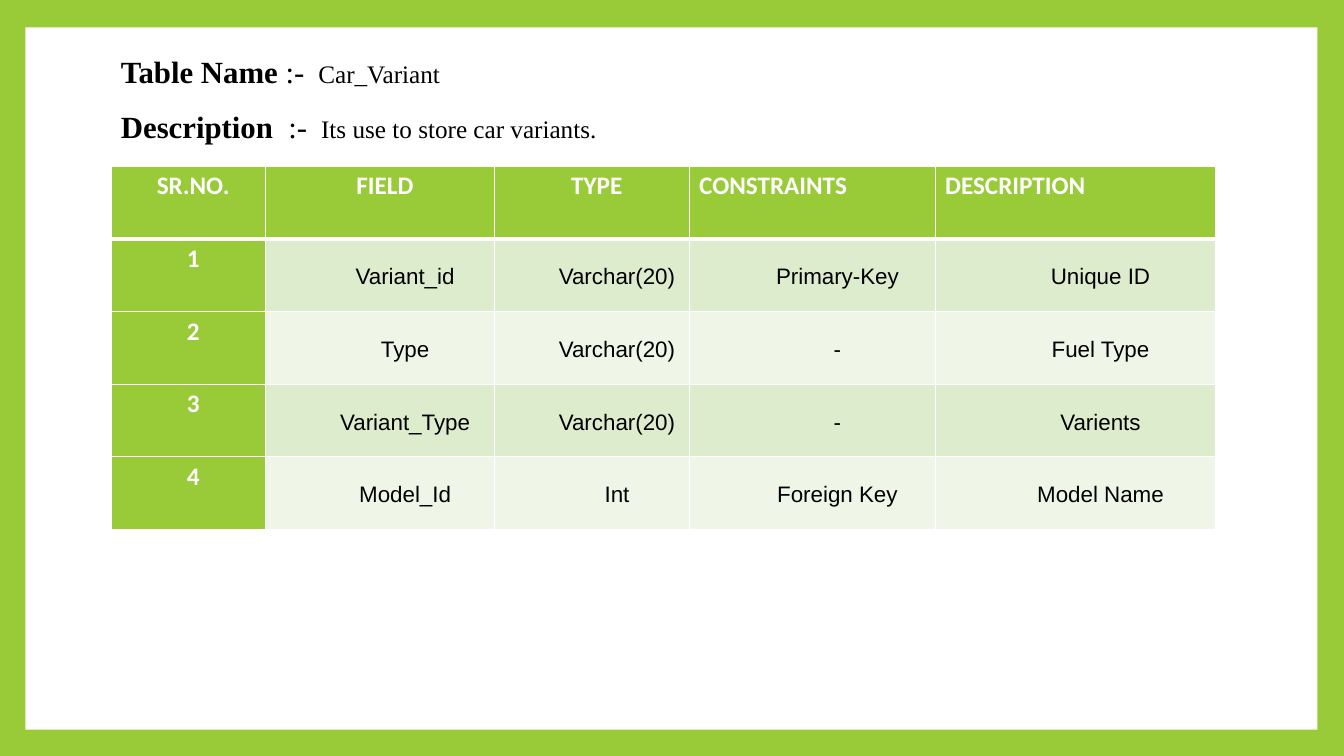
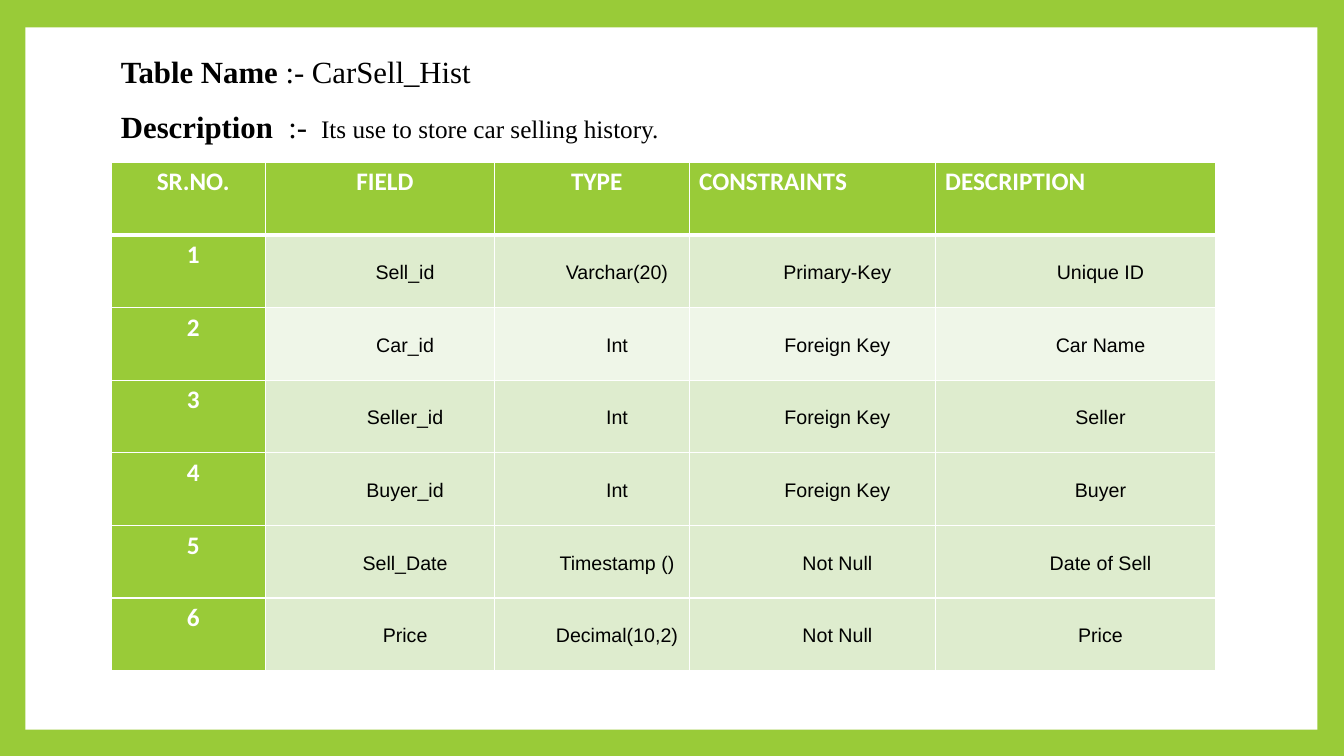
"""Build two slides that describe the tables of a car database."""
from lxml.etree import SubElement
from pptx import Presentation
from pptx.dml.color import RGBColor
from pptx.enum.shapes import MSO_SHAPE
from pptx.enum.text import MSO_ANCHOR, PP_ALIGN
from pptx.oxml.ns import qn
from pptx.util import Cm, Pt

GREEN, WHITE, BLACK = "99CB38", "FFFFFF", "000000"
BAND, PALE_BAND = "DEECCE", "EFF6E8"
LEFT = Cm(2.8)
COLUMN_WIDTHS = [3.89, 5.77, 4.91, 6.2, 7.06]
ROW_HEIGHT = Cm(1.83)
HEADER = ["SR.NO.", "FIELD", "TYPE", "CONSTRAINTS", "DESCRIPTION"]

TABLES = [
    {
        "name": " Car_Variant", "name_size": 18,
        "description": " Its use to store car variants.",
        "top": 4.19, "text_size": 16, "pale_rows": [2, 4],
        "rows": [
            ["1", "Variant_id", "Varchar(20)", "Primary-Key", "Unique ID"],
            ["2", "Type", "Varchar(20)", "-", "Fuel Type"],
            ["3", "Variant_Type", "Varchar(20)", "-", "Varients"],
            ["4", "Model_Id", "Int", "Foreign Key", "Model Name"],
        ],
    },
    {
        "name": "CarSell_Hist", "name_size": 22,
        "description": " Its use to store car selling history.",
        "top": 4.09, "text_size": 14, "pale_rows": [2],
        "rows": [
            ["1", "Sell_id", "Varchar(20)", "Primary-Key", "Unique ID"],
            ["2", "Car_id", "Int", "Foreign Key", "Car Name"],
            ["3", "Seller_id", "Int", "Foreign Key", "Seller"],
            ["4", "Buyer_id", "Int", "Foreign Key", "Buyer"],
            ["5", "Sell_Date", "Timestamp ()", "Not Null", "Date of Sell"],
            ["6", "Price", "Decimal(10,2)", "Not Null", "Price"],
        ],
    },
]


def paint(fill, color):
    fill.solid()
    fill.fore_color.rgb = RGBColor.from_string(color)


def add_borders(cell, top, bottom):
    properties = cell._tc.get_or_add_tcPr()
    for side, width in [("L", 1), ("R", 1), ("T", top), ("B", bottom)]:
        line = SubElement(properties, qn(f"a:ln{side}"), w=str(Pt(width)))
        SubElement(SubElement(line, qn("a:solidFill")), qn("a:srgbClr"), val=WHITE)


presentation = Presentation()
presentation.slide_width, presentation.slide_height = Cm(33.87), Cm(19.05)
master = presentation.slide_master
paint(master.background.fill, GREEN)
slides = [presentation.slides.add_slide(presentation.slide_layouts[6]) for _ in TABLES]

panel = slides[0].shapes.add_shape(
    MSO_SHAPE.RECTANGLE, Cm(0.64), Cm(0.69), Cm(32.56), Cm(17.7))
panel.shadow.inherit = False
paint(panel.fill, WHITE)
panel.line.fill.background()
panel.element.nvSpPr.cNvPr.set("id", "100")
master.shapes.element.insert(2, panel.element)

for slide, content in zip(slides, TABLES):
    heading = slide.shapes.add_textbox(LEFT, Cm(0.74), Cm(25.07), Cm(2.72))
    frame = heading.text_frame
    frame.word_wrap = True
    lines = [
        ("Table Name", " :- ", content["name"], content["name_size"]),
        ("Description", "  :- ", content["description"], 18),
    ]
    for index, (label, separator, value, value_size) in enumerate(lines):
        paragraph = frame.add_paragraph() if index else frame.paragraphs[0]
        paragraph.line_spacing = 1.5
        paragraph.font.name = "Times New Roman"
        paint(paragraph.font.fill, BLACK)
        for text, size, bold in [(label, 22, True), (separator, 22, False),
                                 (value, value_size, False)]:
            run = paragraph.add_run()
            run.text = text
            run.font.size = Pt(size)
            run.font.bold = bold

    rows = [HEADER] + content["rows"]
    table = slide.shapes.add_table(
        len(rows), len(HEADER), LEFT, Cm(content["top"]),
        Cm(sum(COLUMN_WIDTHS)), ROW_HEIGHT * len(rows)).table
    table.horz_banding = False
    for column, width in zip(table.columns, COLUMN_WIDTHS):
        column.width = Cm(width)
    for row_index, row in enumerate(rows):
        table.rows[row_index].height = ROW_HEIGHT
        band = PALE_BAND if row_index in content["pale_rows"] else BAND
        for column_index, text in enumerate(row):
            is_label = row_index == 0 or column_index == 0
            cell = table.cell(row_index, column_index)
            add_borders(cell, 3 if row_index == 1 else 1, 3 if row_index == 0 else 1)
            paint(cell.fill, GREEN if is_label else band)
            cell.margin_left = cell.margin_right = Cm(0 if is_label else 0.18)
            cell.margin_top = cell.margin_bottom = 0
            cell.vertical_anchor = MSO_ANCHOR.TOP if is_label else MSO_ANCHOR.MIDDLE
            cell.text = text
            paragraph = cell.text_frame.paragraphs[0]
            left_aligned = row_index == 0 and column_index > 2
            paragraph.alignment = PP_ALIGN.LEFT if left_aligned else PP_ALIGN.CENTER
            paragraph.line_spacing = 1.15
            indent = Cm(0.25 if is_label else 1.27)
            paragraph._p.get_or_add_pPr().set("marL", str(indent))
            paragraph.font.name = "Calibri" if is_label else "Arial"
            paragraph.font.size = Pt(18 if is_label else content["text_size"])
            paragraph.font.bold = is_label
            paint(paragraph.font.fill, WHITE if is_label else BLACK)

presentation.save("out.pptx")
